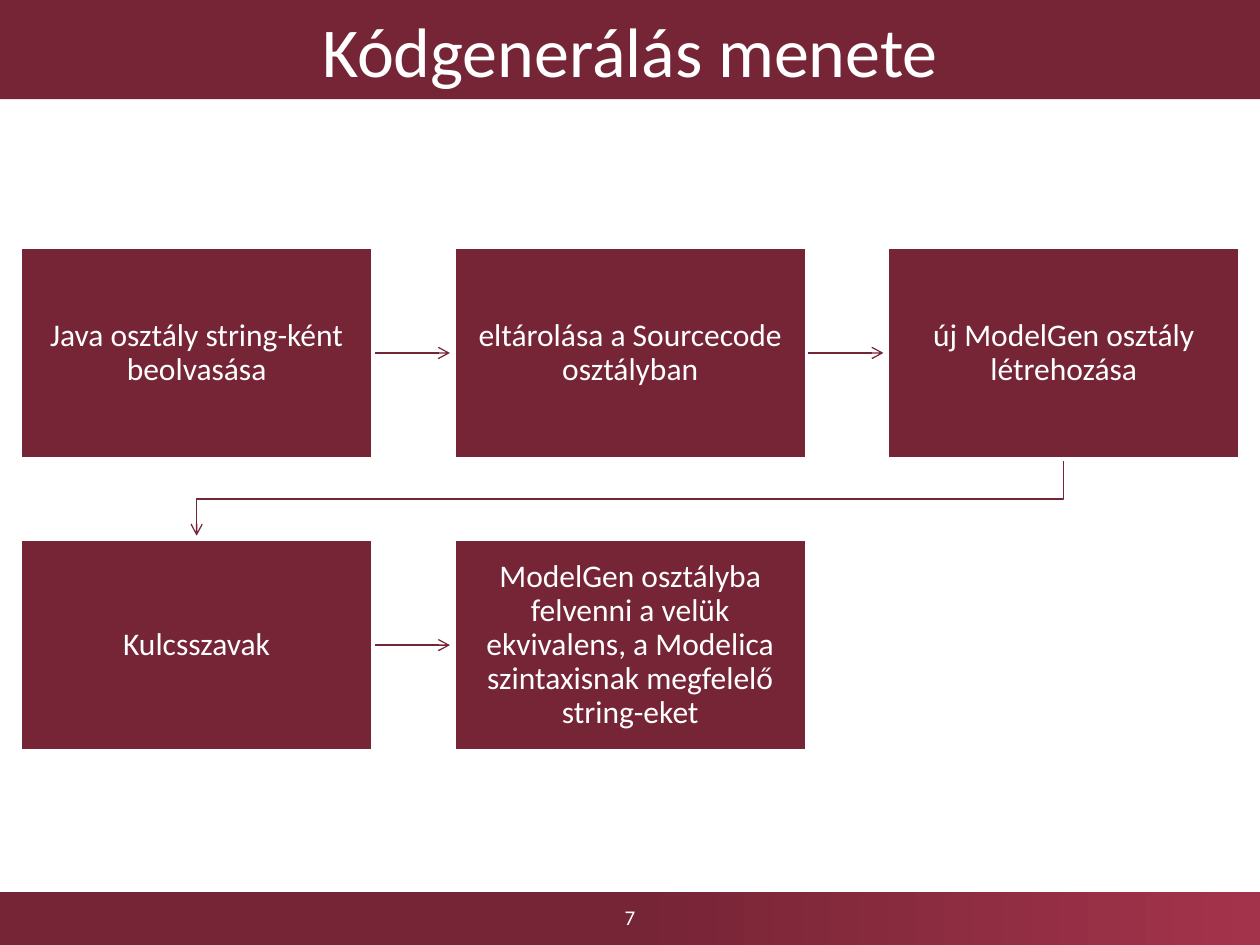
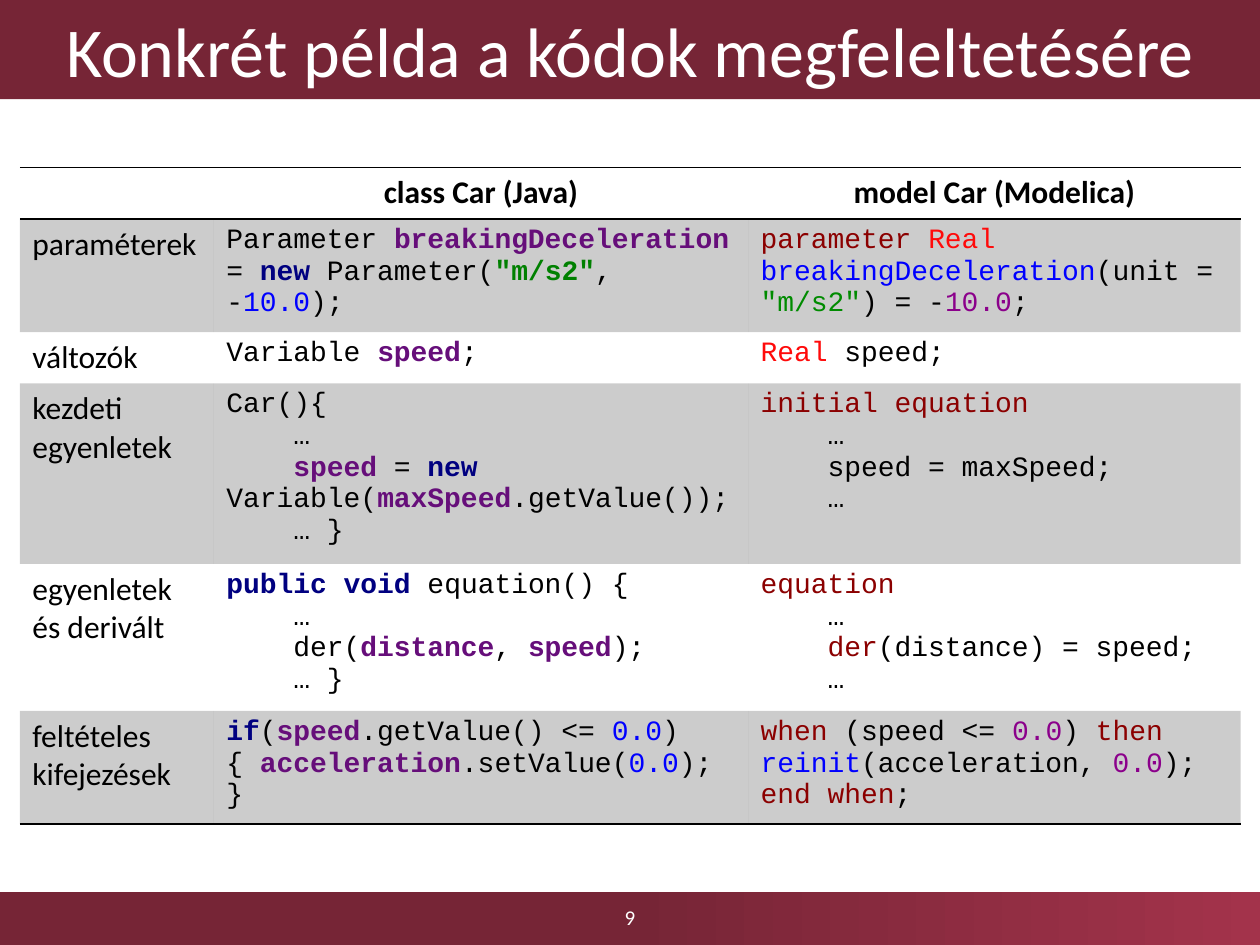
from lxml import etree
from pptx import Presentation, util as u
from pptx.dml import color
from pptx.enum import shapes, text
from pptx.oxml import ns

WINE, ROSE, WHITE, BLACK = "762536", "A3334B", "FFFFFF", "000000"
SANS, MONO = "Calibri", "Courier New"
PLAIN = "{2D5ABB26-0587-4C30-8999-92F81FD0307C}"

MARKS = {
    "f": ("660E7A", True),
    "k": ("000080", True),
    "s": ("008000", True),
    "n": ("0000FF", False),
    "m": ("8B0000", False),
    "t": ("FF0A0A", False),
    "q": ("008B00", False),
    "d": ("8B008B", False),
}

STEPS = [
    "Java osztály string-ként beolvasása",
    "eltárolása a Sourcecode osztályban",
    "új ModelGen osztály létrehozása",
    "Kulcsszavak",
    "ModelGen osztályba felvenni a velük ekvivalens, "
    "a Modelica szintaxisnak megfelelő string-eket",
]

HEADS = ["", "class Car (Java)", "model Car (Modelica)"]
WIDTHS = [3.91, 10.77, 9.93]
ROWS = [
    ("paraméterek", 2.17,
     ["Parameter «f:breakingDeceleration» = «k:new» Parameter(«s:\"m/s2\"», -«n:10.0»);"],
     ["«m:parameter» «t:Real» «n:breakingDeceleration»(unit = «q:\"m/s2\"») = -«d:10.0»;"]),
    ("változók", 1.03,
     ["Variable «f:speed»;"],
     ["«t:Real» speed;"]),
    ("kezdeti egyenletek", 3.45,
     ["Car(){", "\t…",
      "\t«f:speed» = «k:new» Variable(«f:maxSpeed».getValue());", "\t… }"],
     ["«m:initial equation»", "\t…", "\tspeed = maxSpeed;", "\t…"]),
    ("egyenletek és derivált", 2.88,
     ["«k:public void» equation() {", "\t…",
      "\tder(«f:distance», «f:speed»);", "\t… }"],
     ["«m:equation»", "\t…", "\t«m:der»(distance) = speed;", "\t…"]),
    ("feltételes kifejezések", 2.17,
     ["«k:if»(«f:speed».getValue() <= «n:0.0») "
      "{ «f:acceleration».setValue(«n:0.0»); }"],
     ["«m:when» (speed <= «d:0.0») «m:then» «n:reinit»(acceleration, «d:0.0»); "
      "«m:end when»;"]),
]


def rgb(code):
    return color.RGBColor.from_string(code)


def add(node, tag, **attrs):
    return etree.SubElement(node, ns.qn(tag), **attrs)


class Deck:
    def __init__(self):
        self.prs = Presentation()
        self.prs.slide_width = u.Cm(25.4)
        self.prs.slide_height = u.Cm(19.05)
        self.slide = None

    def font(self, para, size, tint, name=SANS, bold=False):
        font = para.font
        font.name, font.size, font.bold = name, u.Pt(size), bold
        font.color.rgb = rgb(tint)

    def label(self, shape, words, size):
        frame = shape.text_frame
        frame.word_wrap = True
        frame.vertical_anchor = text.MSO_ANCHOR.MIDDLE
        para = frame.paragraphs[0]
        para.text = words
        para.alignment = text.PP_ALIGN.CENTER
        self.font(para, size, WHITE)
        return frame

    def rect(self, x, y, w, h):
        shape = self.slide.shapes.add_shape(
            shapes.MSO_SHAPE.RECTANGLE, u.Cm(x), u.Cm(y), u.Cm(w), u.Cm(h))
        shape.shadow.inherit = False
        shape.line.fill.background()
        return shape

    def page(self, title, number):
        self.slide = self.prs.slides.add_slide(self.prs.slide_layouts[5])
        fill = self.rect(0, 17.98, 25.4, 1.07).fill
        fill.gradient()
        fill.gradient_angle = 0
        for stop, place, tint in zip(fill.gradient_stops, (0.5, 1), (WINE, ROSE)):
            stop.position = place
            stop.color.rgb = rgb(tint)
        head = self.slide.shapes.title
        head.left, head.top = u.Cm(0), u.Cm(0)
        head.width, head.height = u.Cm(25.4), u.Cm(2)
        head.fill.solid()
        head.fill.fore_color.rgb = rgb(WINE)
        self.label(head, title, 40)
        foot = self.slide.shapes.add_textbox(
            u.Cm(9.85), u.Cm(17.98), u.Cm(5.7), u.Cm(1.02))
        self.label(foot, str(number), 12)

    def box(self, x, y, w, h, words):
        shape = self.rect(x, y, w, h)
        shape.fill.solid()
        shape.fill.fore_color.rgb = rgb(WINE)
        shape.line.color.rgb = rgb(WHITE)
        shape.line.width = u.Pt(2)
        frame = self.label(shape, words, 18)
        frame.margin_left = frame.margin_right = u.Cm(0.36)
        frame.margin_top = frame.margin_bottom = u.Cm(0.36)
        frame.paragraphs[0].line_spacing = 0.9

    def arrow(self, *spots):
        spots = [(u.Cm(x), u.Cm(y)) for x, y in spots]
        if len(spots) == 2:
            shape = self.slide.shapes.add_connector(
                shapes.MSO_CONNECTOR.STRAIGHT, *spots[0], *spots[1])
        else:
            path = self.slide.shapes.build_freeform(*spots[0])
            path.add_line_segments(spots[1:], close=False)
            shape = path.convert_to_shape()
            shape.fill.background()
        shape.line.color.rgb = rgb(WINE)
        shape.line.width = u.Pt(0.75)
        add(shape.line._get_or_add_ln(), "a:tailEnd", type="arrow")
        add(shape._element.spPr, "a:effectLst")

    def grid(self, x, y, widths, heights):
        table = self.slide.shapes.add_table(
            len(heights), len(widths), u.Cm(x), u.Cm(y),
            u.Cm(sum(widths)), u.Cm(sum(heights))).table
        table.first_row = table.horz_banding = False
        table._tbl.tblPr[0].text = PLAIN
        for col, w in zip(table.columns, widths):
            col.width = u.Cm(w)
        for row, h in zip(table.rows, heights):
            row.height = u.Cm(h)
        return table

    def cell(self, cell, shade, edges):
        props = cell._tc.get_or_add_tcPr()
        for edge in edges:
            line = add(props, "a:ln" + edge, w=str(u.Pt(1)))
            add(add(line, "a:solidFill"), "a:srgbClr", val=BLACK)
        if shade:
            cell.fill.solid()
            cell.fill.fore_color.rgb = rgb(BLACK)
            tint = props.find(ns.qn("a:solidFill"))[0]
            add(tint, "a:alpha", val="20000")
        else:
            cell.fill.background()

    def words(self, cell, words, head=False):
        para = cell.text_frame.paragraphs[0]
        para.text = words
        self.font(para, 18, BLACK, bold=head)
        if head:
            para.alignment = text.PP_ALIGN.CENTER

    def code(self, cell, lines):
        frame = cell.text_frame
        for i, line in enumerate(lines):
            para = frame.add_paragraph() if i else frame.paragraphs[0]
            self.font(para, 16, BLACK, MONO)
            if line.startswith("\t"):
                props = para._p.get_or_add_pPr()
                props.set("marL", "0")
                props.set("indent", str(u.Cm(1.35)))
            for part in line.strip("\t").replace("»", "«").split("«"):
                if not part:
                    continue
                mark, colon, rest = part.partition(":")
                run = para.add_run()
                run.text = part
                if colon and mark in MARKS:
                    tint, bold = MARKS[mark]
                    run.text = rest
                    run.font.color.rgb = rgb(tint)
                    run.font.bold = bold


def flow(deck):
    deck.page("Kódgenerálás menete", 7)
    left, top, wide, high = 0.41, 4.98, 7.11, 4.27
    over, down, reach = 8.74, 5.89, 1.55
    for i, step in enumerate(STEPS):
        row, col = divmod(i, 3)
        x, y = left + col * over, top + row * down
        mid, end = y + high / 2, x + wide
        if col == 2:
            x1, x2 = x + wide / 2, left + wide / 2
            low = y + high
            deck.arrow((x1, low), (x1, low + 0.81), (x2, low + 0.81), (x2, low + reach))
        elif i < len(STEPS) - 1:
            deck.arrow((end, mid), (end + reach, mid))
        deck.box(x, y, wide, high, step)


def match(deck):
    deck.page("Konkrét példa a kódok megfeleltetésére", 9)
    table = deck.grid(0.4, 3.38, WIDTHS, [1.03] + [row[1] for row in ROWS])
    for i, head in enumerate(HEADS):
        deck.cell(table.cell(0, i), False, "TB")
        deck.words(table.cell(0, i), head, True)
    for r, (name, high, java, model) in enumerate(ROWS, 1):
        for c in range(3):
            deck.cell(table.cell(r, c), r % 2, "B" if r == len(ROWS) else "")
        deck.words(table.cell(r, 0), name)
        deck.code(table.cell(r, 1), java)
        deck.code(table.cell(r, 2), model)


def main():
    deck = Deck()
    flow(deck)
    match(deck)
    deck.prs.save("out.pptx")


if __name__ == "__main__":
    main()
